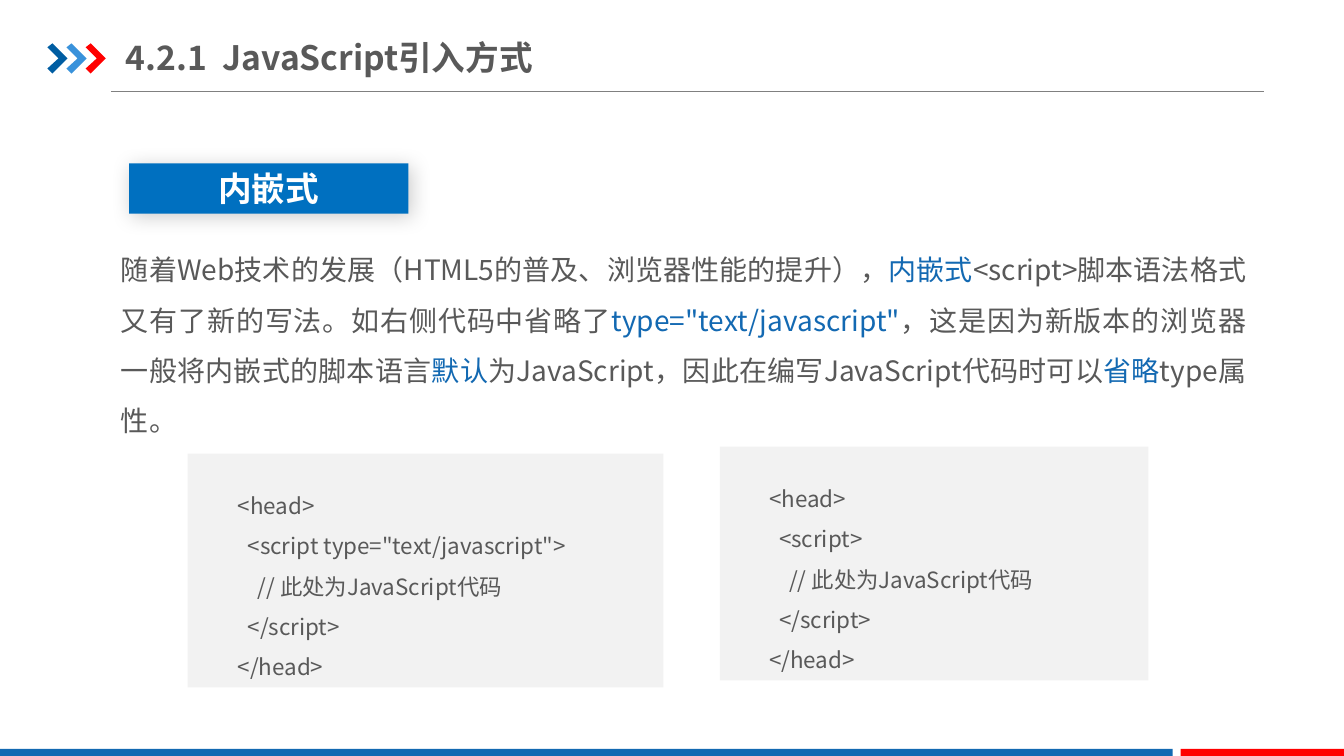
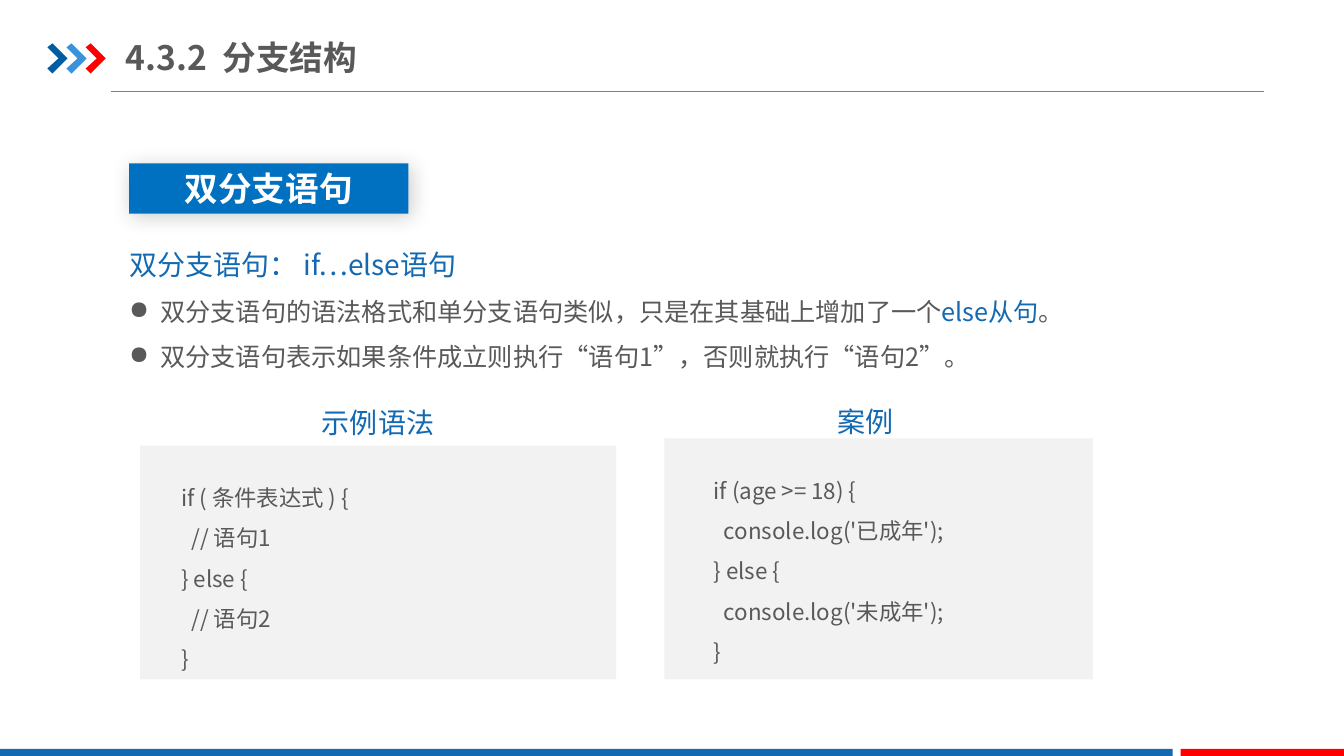
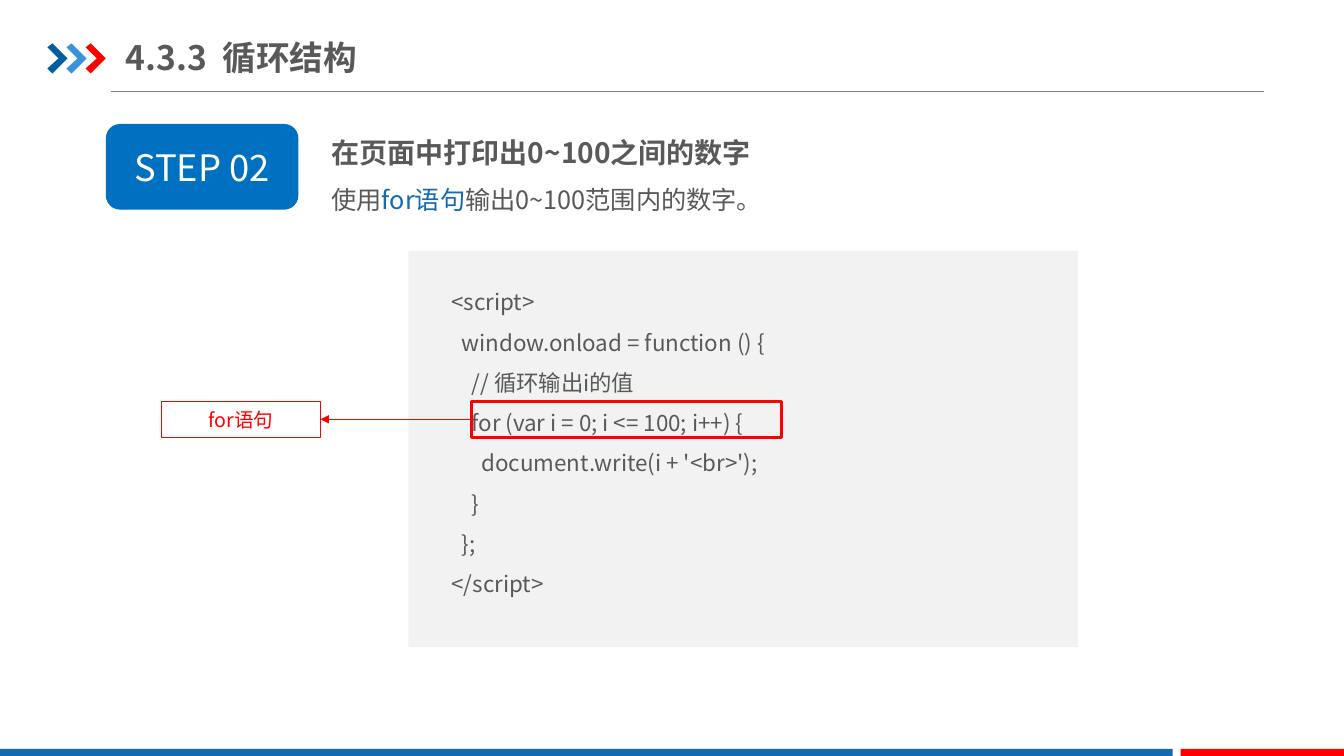
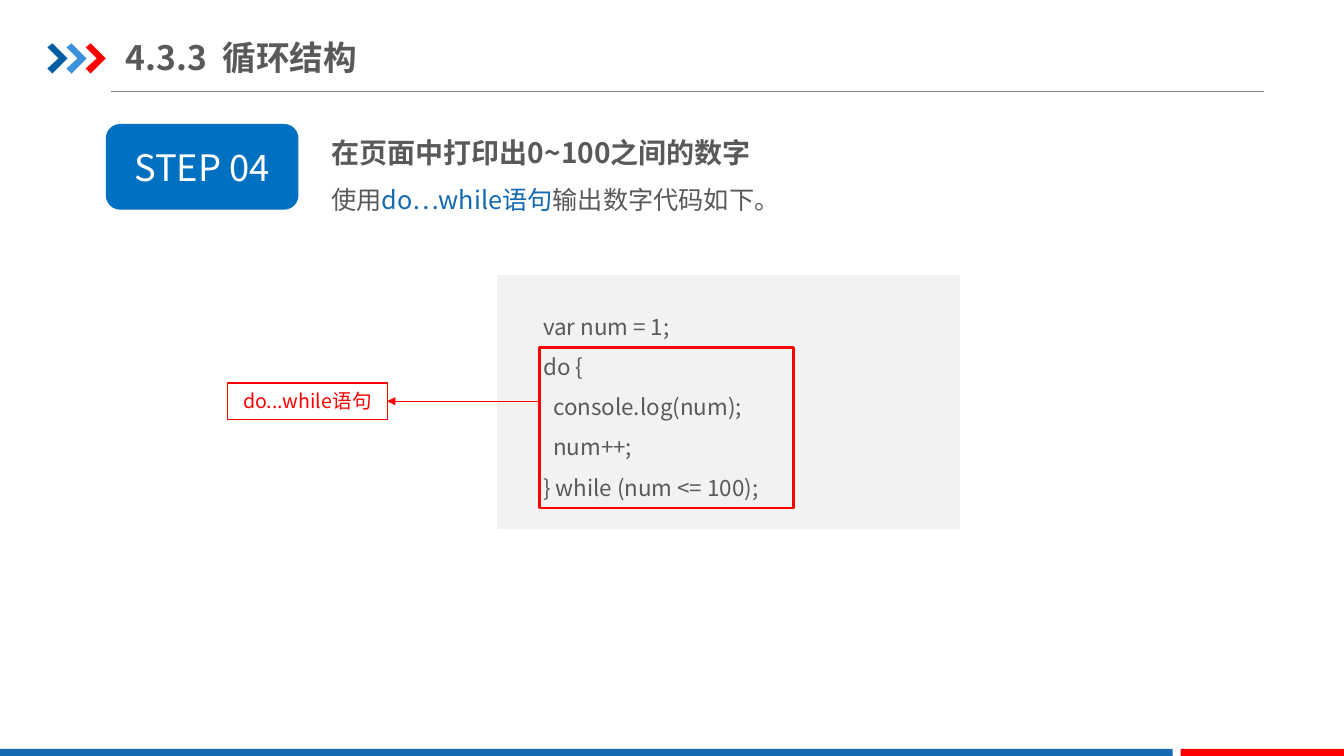
from dataclasses import dataclass

from lxml import etree
from pptx import Presentation
from pptx.dml.color import RGBColor
from pptx.enum.shapes import MSO_CONNECTOR, MSO_SHAPE
from pptx.enum.text import MSO_ANCHOR, MSO_AUTO_SIZE, PP_ALIGN
from pptx.oxml.ns import qn
from pptx.shapes.autoshape import Shape
from pptx.slide import Slide
from pptx.text.text import TextFrame
from pptx.util import Inches, Pt

RECTANGLE = MSO_SHAPE.RECTANGLE
ROUNDED = MSO_SHAPE.ROUNDED_RECTANGLE
STRAIGHT = MSO_CONNECTOR.STRAIGHT
MIDDLE = MSO_ANCHOR.MIDDLE
TOP = MSO_ANCHOR.TOP
GROW = MSO_AUTO_SIZE.SHAPE_TO_FIT_TEXT
FIXED = MSO_AUTO_SIZE.NONE
LEFT = PP_ALIGN.LEFT
CENTER = PP_ALIGN.CENTER
JUSTIFY = PP_ALIGN.JUSTIFY

LEFT_SIDE, RIGHT_SIDE = 1, 3
ACCENT_MARK = "|"
PLAIN_INSETS = (0.1, 0.05)
WIDE_INSETS = (0.13, 0.07)
TITLE_INSETS = (0, 0.07)


@dataclass(frozen=True)
class Theme:
    font: str = "Noto Sans CJK SC"
    text: str = "595959"
    accent: str = "1369B2"
    badge: str = "0070C0"
    panel: str = "F2F2F2"
    white: str = "FFFFFF"
    red: str = "FF0000"
    rule: str = "808080"
    chevrons: tuple[str, ...] = ("005DA2", "3992DB", "FF0000")
    title_size: int = 24
    step_size: int = 26
    heading_size: int = 20
    body_size: int = 18
    code_size: int = 16
    label_size: int = 14
    loose: float = 1.5


@dataclass(frozen=True)
class Box:
    left: float
    top: float
    width: float
    height: float

    def lengths(self) -> tuple[int, int, int, int]:
        return (Inches(self.left), Inches(self.top),
                Inches(self.width), Inches(self.height))

    @property
    def middle(self) -> float:
        return self.top + self.height / 2


@dataclass(frozen=True)
class CodePanel:
    panel: Box
    text: Box
    code: str


@dataclass(frozen=True)
class Callout:
    label: str
    label_box: Box
    highlight: Box


@dataclass(frozen=True)
class StepSlide:
    title: str
    step: str
    heading: str
    description: str
    code_panel: CodePanel
    callout: Callout


THEME = Theme()
TITLE_BOX = Box(1.25, 0.29, 4.26, 0.55)
BADGE_BOX = Box(1.28, 1.62, 2.77, 0.5)
STEP_BOX = Box(1.05, 1.23, 1.91, 0.85)
STEP_TEXT_BOX = Box(3.19, 1.13, 5.86, 1.06)
FOOTER_BANDS = (
    (Box(0, 7.43, 11.63, 0.09), THEME.accent),
    (Box(11.71, 7.43, 1.63, 0.09), THEME.red),
)
CHEVRON_LEFT, CHEVRON_TOP, CHEVRON_STEP = 0.47, 0.43, 0.19
CHEVRON_POINTS = ((0, 0.04), (0.05, 0), (0.2, 0.15),
                  (0.05, 0.3), (0, 0.25), (0.11, 0.15))

EMBEDDED_TEXT = (
    "随着Web技术的发展（HTML5的普及、浏览器性能的提升），|内嵌式|"
    "<script>脚本语法格式又有了新的写法。如右侧代码中省略了|"
    'type="text/javascript"|，这是因为新版本的浏览器一般将内嵌式的脚本语言|'
    "默认|为JavaScript，因此在编写JavaScript代码时可以|省略|type属性。"
)
BRANCH_POINTS = (
    "双分支语句的语法格式和单分支语句类似，只是在其基础上增加了一个|else从句|。\n"
    "双分支语句表示如果条件成立则执行“语句1”，否则就执行“语句2”。"
)


def script_code(opening_tag: str) -> str:
    return (f"<head>\n  {opening_tag}\n    // 此处为JavaScript代码\n"
            "  </script>\n</head>")


EMBEDDED_PANELS = (
    CodePanel(Box(1.86, 4.5, 4.72, 2.32), Box(2.26, 4.7, 4.17, 2.12),
              script_code('<script type="text/javascript">')),
    CodePanel(Box(7.14, 4.43, 4.25, 2.32), Box(7.53, 4.63, 3.62, 2.12),
              script_code("<script>")),
)
BRANCH_PANELS = (
    CodePanel(Box(1.39, 4.42, 4.72, 2.32), Box(1.7, 4.62, 4.17, 2.12),
              "if ( 条件表达式 ) {\n  // 语句1\n} else {\n  // 语句2\n}"),
    CodePanel(Box(6.59, 4.35, 4.25, 2.39), Box(6.98, 4.55, 3.62, 2.12),
              "if (age >= 18) {\n  console.log('已成年');\n} else {\n"
              "  console.log('未成年');\n}"),
)
BRANCH_CAPTIONS = (
    ("示例语法", Box(2.77, 3.79, 1.96, 0.64)),
    ("案例", Box(7.61, 3.78, 1.96, 0.58)),
)
STEP_SLIDES = (
    StepSlide(
        "4.3.3  循环结构", "STEP 02", "在页面中打印出0~100之间的数字",
        "使用|for语句|输出0~100范围内的数字。",
        CodePanel(Box(4.05, 2.49, 6.64, 3.93), Box(4.38, 2.68, 5.98, 3.33),
                  "<script>\n  window.onload = function () {\n"
                  "    // 循环输出i的值\n"
                  "    for (var i = 0; i <= 100; i++) {\n"
                  "      document.write(i + '<br>');\n"
                  "    }\n  };\n</script>"),
        Callout("for语句", Box(1.6, 3.98, 1.58, 0.36),
                Box(4.68, 3.98, 3.07, 0.36)),
    ),
    StepSlide(
        "4.3.3  循环结构", "STEP 04", "在页面中打印出0~100之间的数字",
        "使用|do…while语句|输出数字代码如下。",
        CodePanel(Box(4.93, 2.73, 4.59, 2.52), Box(5.29, 2.92, 3.44, 2.12),
                  "var num = 1;\ndo {\n  console.log(num);\n  num++;\n"
                  "} while (num <= 100);"),
        Callout("do...while语句", Box(2.26, 3.8, 1.58, 0.36),
                Box(5.35, 3.45, 2.52, 1.59)),
    ),
)


def write_text(frame: TextFrame, text: str, *, size: int,
               color: str = THEME.text, bold: bool = False,
               align: PP_ALIGN = LEFT, spacing: float = 1.0,
               bullet: str = "") -> None:
    for line in text.split("\n"):
        paragraph = frame.paragraphs[0]
        if paragraph.runs:
            paragraph = frame.add_paragraph()
        paragraph.alignment = align
        paragraph.line_spacing = spacing
        if bullet:
            properties = paragraph._p.get_or_add_pPr()
            properties.set("marL", str(Inches(0.31)))
            properties.set("indent", str(-Inches(0.31)))
            etree.SubElement(properties, qn("a:buChar"), char=bullet)
        for index, part in enumerate(line.split(ACCENT_MARK)):
            run = paragraph.add_run()
            run.text = part
            run.font.size = Pt(size)
            run.font.bold = bold
            run.font.color.rgb = RGBColor.from_string(
                THEME.accent if index % 2 else color)
            run.font.name = THEME.font
            etree.SubElement(run._r.get_or_add_rPr(), qn("a:ea"),
                             typeface=THEME.font)


def set_frame(frame: TextFrame, *, insets: tuple[float, float] = PLAIN_INSETS,
              anchor: MSO_ANCHOR = TOP,
              auto_size: MSO_AUTO_SIZE = GROW) -> TextFrame:
    horizontal, vertical = (Inches(value) for value in insets)
    frame.margin_left = frame.margin_right = horizontal
    frame.margin_top = frame.margin_bottom = vertical
    frame.word_wrap = True
    frame.vertical_anchor = anchor
    frame.auto_size = auto_size
    return frame


def add_text_frame(slide: Slide, box: Box, *,
                   insets: tuple[float, float] = PLAIN_INSETS,
                   anchor: MSO_ANCHOR = TOP,
                   auto_size: MSO_AUTO_SIZE = GROW) -> TextFrame:
    shape = slide.shapes.add_textbox(*box.lengths())
    return set_frame(shape.text_frame, insets=insets, anchor=anchor,
                     auto_size=auto_size)


def paint(shape: Shape, fill: str = "", line: str = "",
          line_width: float = 0.75) -> None:
    shape.shadow.inherit = False
    if fill:
        shape.fill.solid()
        shape.fill.fore_color.rgb = RGBColor.from_string(fill)
    else:
        shape.fill.background()
    if line:
        shape.line.color.rgb = RGBColor.from_string(line)
        shape.line.width = Pt(line_width)
    else:
        shape.line.fill.background()


def add_box(slide: Slide, box: Box, *, kind: MSO_SHAPE = RECTANGLE,
            fill: str = "", line: str = "", line_width: float = 0.75) -> Shape:
    shape = slide.shapes.add_shape(kind, *box.lengths())
    paint(shape, fill, line, line_width)
    return shape


def add_line(slide: Slide, start: tuple[float, float],
             end: tuple[float, float], color: str, arrow: bool = False):
    connector = slide.shapes.add_connector(
        STRAIGHT, *(Inches(value) for value in start + end))
    connector.line.color.rgb = RGBColor.from_string(color)
    connector.line.width = Pt(0.75)
    if arrow:
        etree.SubElement(connector.line._get_or_add_ln(), qn("a:tailEnd"),
                         type="triangle")
    etree.SubElement(connector._element.spPr, qn("a:effectLst"))
    return connector


def add_chevron(slide: Slide, left: float, color: str) -> None:
    points = [(Inches(left + x), Inches(CHEVRON_TOP + y))
              for x, y in CHEVRON_POINTS]
    builder = slide.shapes.build_freeform(*points[0])
    builder.add_line_segments(points[1:], close=True)
    paint(builder.convert_to_shape(), color)


def add_base_slide(presentation: Presentation, title: str) -> Slide:
    slide = presentation.slides.add_slide(presentation.slide_layouts[6])
    add_line(slide, (1.1, 0.91), (12.54, 0.91), THEME.rule)
    for index, color in enumerate(THEME.chevrons):
        add_chevron(slide, CHEVRON_LEFT + index * CHEVRON_STEP, color)
    for band, color in FOOTER_BANDS:
        add_box(slide, band, fill=color)
    frame = add_text_frame(slide, TITLE_BOX, insets=TITLE_INSETS,
                           anchor=MIDDLE, auto_size=FIXED)
    write_text(frame, title, size=THEME.title_size, bold=True)
    return slide


def add_badge(slide: Slide, text: str) -> None:
    shape = add_box(slide, BADGE_BOX, fill=THEME.badge)
    effects = shape._element.spPr.find(qn("a:effectLst"))
    shadow = etree.SubElement(effects, qn("a:outerShdw"),
                              blurRad=str(Pt(15)), dist=str(Pt(3)),
                              dir=str(45 * 60000), rotWithShape="0")
    color = etree.SubElement(shadow, qn("a:srgbClr"), val="000000")
    etree.SubElement(color, qn("a:alpha"), val="20000")
    write_text(set_frame(shape.text_frame, anchor=MIDDLE), text,
               size=THEME.title_size, color=THEME.white, bold=True,
               align=CENTER)


def add_code_panel(slide: Slide, item: CodePanel) -> None:
    add_box(slide, item.panel, fill=THEME.panel)
    write_text(add_text_frame(slide, item.text), item.code,
               size=THEME.code_size, spacing=THEME.loose)


def add_callout(slide: Slide, callout: Callout) -> None:
    target, label_box = callout.highlight, callout.label_box
    highlight = add_box(slide, target, line=THEME.red, line_width=2)
    label = add_box(slide, label_box, line=THEME.red)
    frame = set_frame(label.text_frame, anchor=MIDDLE, auto_size=FIXED)
    write_text(frame, callout.label, size=THEME.label_size, color=THEME.red,
               align=CENTER)
    arrow = add_line(slide, (target.left, label_box.middle),
                     (label_box.left + label_box.width, label_box.middle),
                     THEME.red, arrow=True)
    if abs(target.middle - label_box.middle) < 0.01:
        arrow.begin_connect(highlight, LEFT_SIDE)
    arrow.end_connect(label, RIGHT_SIDE)


def build_embedded_slide(presentation: Presentation) -> None:
    slide = add_base_slide(presentation, "4.2.1  JavaScript引入方式")
    add_badge(slide, "内嵌式")
    frame = add_text_frame(slide, Box(1.07, 2.27, 11.42, 2.15),
                           insets=WIDE_INSETS)
    write_text(frame, EMBEDDED_TEXT, size=THEME.heading_size, align=JUSTIFY,
               spacing=THEME.loose)
    for item in EMBEDDED_PANELS:
        add_code_panel(slide, item)


def build_branch_slide(presentation: Presentation) -> None:
    slide = add_base_slide(presentation, "4.3.2  分支结构")
    add_badge(slide, "双分支语句")
    for item in BRANCH_PANELS:
        add_code_panel(slide, item)
    frame = add_text_frame(slide, Box(1.15, 2.22, 11.42, 1.55),
                           insets=WIDE_INSETS)
    write_text(frame, "双分支语句： if…else语句", size=THEME.heading_size,
               color=THEME.accent, align=JUSTIFY, spacing=THEME.loose)
    write_text(frame, BRANCH_POINTS, size=THEME.body_size, align=JUSTIFY,
               spacing=THEME.loose, bullet="●")
    for caption, box in BRANCH_CAPTIONS:
        write_text(add_text_frame(slide, box, insets=WIDE_INSETS), caption,
                   size=THEME.heading_size, color=THEME.accent, align=CENTER,
                   spacing=THEME.loose)


def build_step_slide(presentation: Presentation, content: StepSlide) -> None:
    slide = add_base_slide(presentation, content.title)
    step = add_box(slide, STEP_BOX, kind=ROUNDED, fill=THEME.badge)
    write_text(set_frame(step.text_frame, anchor=MIDDLE, auto_size=FIXED),
               content.step, size=THEME.step_size, color=THEME.white,
               align=CENTER)
    frame = add_text_frame(slide, STEP_TEXT_BOX)
    write_text(frame, content.heading, size=THEME.heading_size, bold=True,
               spacing=THEME.loose)
    write_text(frame, content.description, size=THEME.body_size,
               spacing=THEME.loose)
    add_code_panel(slide, content.code_panel)
    add_callout(slide, content.callout)


def main() -> None:
    presentation = Presentation()
    presentation.slide_width = Inches(13.33)
    presentation.slide_height = Inches(7.5)
    build_embedded_slide(presentation)
    build_branch_slide(presentation)
    for content in STEP_SLIDES:
        build_step_slide(presentation, content)
    presentation.save("out.pptx")


if __name__ == "__main__":
    main()
